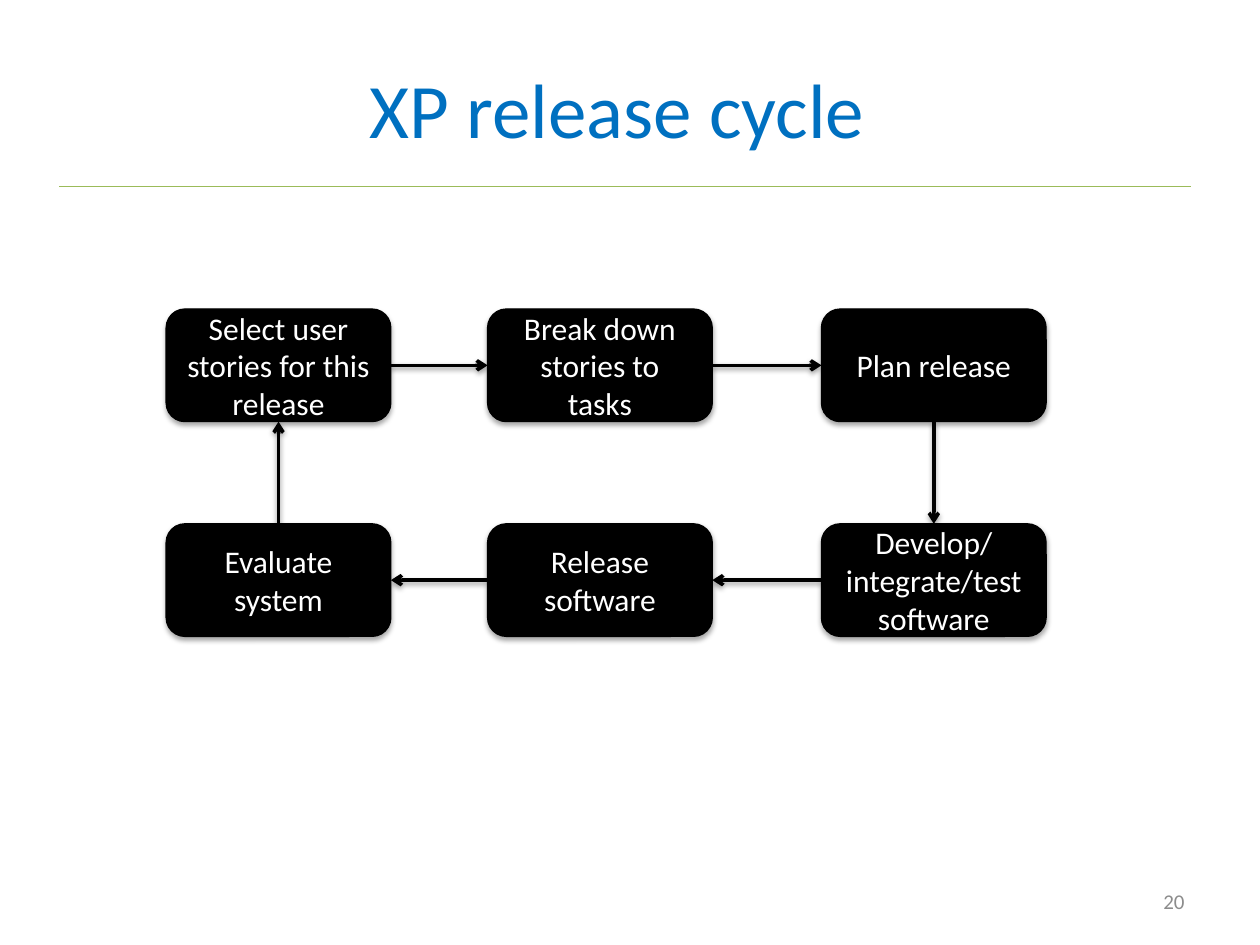
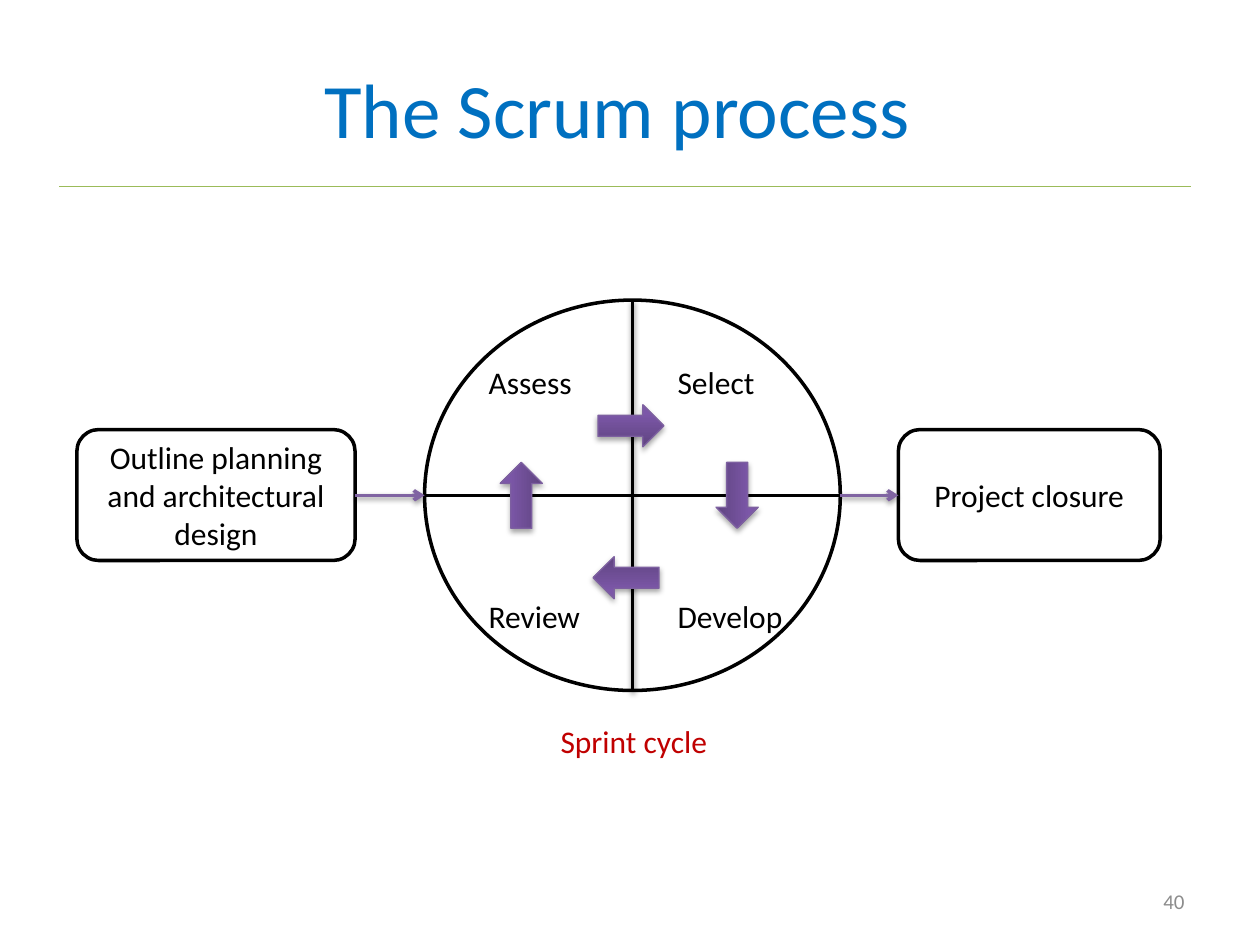
from dataclasses import dataclass
from typing import NamedTuple

from lxml.etree import SubElement
from pptx import Presentation
from pptx.dml.color import RGBColor
from pptx.enum.shapes import MSO_CONNECTOR, MSO_SHAPE
from pptx.enum.text import MSO_ANCHOR, MSO_AUTO_SIZE, PP_ALIGN
from pptx.oxml.ns import qn
from pptx.util import Cm, Pt


@dataclass(frozen=True)
class Theme:
    """Colours, type sizes and line widths of the deck."""
    font: str = "Calibri"
    title: str = "0070C0"
    rule: str = "9BBB59"
    number: str = "8C8C8C"
    dark: str = "000000"
    light: str = "FFFFFF"
    accent: str = "8064A2"
    arrow_edge: str = "7D60A0"
    arrow_low: str = "5F4480"
    arrow_high: str = "7C57A8"
    caption: str = "C00000"
    title_size: int = 44
    body_size: int = 18
    number_size: int = 12
    thin: float = 0.75
    thick: float = 2
    shape_shadow: tuple = (35, 1.8)
    line_shadow: tuple = (38, 1.6)


class Box(NamedTuple):
    """A rectangle in centimetres."""
    left: float
    top: float
    width: float
    height: float

    @property
    def centre(self):
        """Return the middle point."""
        return self.left + self.width / 2, self.top + self.height / 2

    @property
    def right(self):
        """Return the right edge."""
        return self.left + self.width

    @property
    def bottom(self):
        """Return the lower edge."""
        return self.top + self.height

    def inside(self, left, top, width, height):
        """Return a box placed relative to this one."""
        return Box(self.left + left, self.top + top, width, height)

    def lengths(self):
        """Return the four lengths for python-pptx."""
        return [Cm(value) for value in self]


THEME = Theme()
TITLE = Box(1.19, 0.58, 22.86, 3.18)
PAGE_NUMBER = Box(18.21, 17.65, 5.92, 1.02)
XP_CYCLE = Box(3.35, 6.23, 17.74, 6.6)
SCRUM = Box(1.55, 6.05, 21.84, 9.4)
TOP, LEFT, BOTTOM, RIGHT = range(4)
LINK_SITES = {(1, 0): (RIGHT, LEFT), (-1, 0): (LEFT, RIGHT),
              (0, 1): (BOTTOM, TOP), (0, -1): (TOP, BOTTOM)}
XP_COLUMNS = (0, 6.48, 13.21)
XP_ROWS = (0, 4.33)
XP_STEPS = (
    ("Select user stories for this release", 0, 0),
    ("Break down stories to tasks", 1, 0),
    ("Plan release", 2, 0),
    ("Develop/ integrate/test software", 2, 1),
    ("Release software", 1, 1),
    ("Evaluate system", 0, 1),
)
SPRINT_PHASES = (
    ("Assess", 1.04, 1.14, 2.21),
    ("Select", 4.85, 1.14, 2.08),
    ("Develop", 4.85, 5.86, 2.64),
    ("Review", 1.04, 5.86, 2.39),
)
SPRINT_TURNS = ((0, -0.03, -1.4), (90, 2.11, 0), (180, -0.13, 1.66), (270, -2.24, 0))


def rgb(value):
    """Turn a hex string into a colour."""
    return RGBColor.from_string(value)


def write(frame, text, colour, size=THEME.body_size, align=PP_ALIGN.CENTER,
          anchor=MSO_ANCHOR.MIDDLE):
    """Put one formatted run into a text frame."""
    frame.vertical_anchor = anchor
    paragraph = frame.paragraphs[0]
    paragraph.alignment = align
    run = paragraph.add_run()
    run.text = text
    run.font.name = THEME.font
    run.font.size = Pt(size)
    run.font.color.rgb = rgb(colour)


def set_line(line, colour, width):
    """Set the colour and width of a line."""
    line.color.rgb = rgb(colour)
    line.width = Pt(width)


def cast_shadow(effects, strength, distance):
    """Add a soft shadow that falls straight down."""
    shadow = SubElement(effects, qn("a:outerShdw"), blurRad=str(Pt(3.1)),
                        dist=str(Pt(distance)), dir="5400000", rotWithShape="0")
    colour = SubElement(shadow, qn("a:srgbClr"), val=THEME.dark)
    SubElement(colour, qn("a:alpha"), val=str(strength * 1000))


def add_figure(slide, kind, box, edge, width, fill=None, shadow=None):
    """Add a preset shape with its outline, fill and shadow."""
    figure = slide.shapes.add_shape(kind, *box.lengths())
    set_line(figure.line, edge, width)
    figure.shadow.inherit = False
    if fill:
        figure.fill.solid()
        figure.fill.fore_color.rgb = rgb(fill)
    if shadow:
        cast_shadow(figure._element.spPr.find(qn("a:effectLst")), *shadow)
    return figure


def add_line(slide, start, end, colour, width=THEME.thick, arrow=False, shadow=None):
    """Draw a straight line between two points in centimetres."""
    line = slide.shapes.add_connector(
        MSO_CONNECTOR.STRAIGHT, *[Cm(value) for value in (*start, *end)])
    set_line(line.line, colour, width)
    if arrow:
        SubElement(line.line._get_or_add_ln(), qn("a:tailEnd"), type="arrow")
    effects = SubElement(line._element.spPr, qn("a:effectLst"))
    if shadow:
        cast_shadow(effects, *shadow)
    return line


def add_label(slide, box, text, colour):
    """Add an unwrapped text box that fits its text."""
    frame = slide.shapes.add_textbox(*box.lengths()).text_frame
    frame.word_wrap = False
    frame.auto_size = MSO_AUTO_SIZE.SHAPE_TO_FIT_TEXT
    write(frame, text, colour, align=PP_ALIGN.LEFT, anchor=MSO_ANCHOR.TOP)


def add_titled_slide(deck, title, number):
    """Add a slide with its title, green rule and page number."""
    slide = deck.slides.add_slide(deck.slide_layouts[5])
    heading = slide.shapes.title
    heading.left, heading.top, heading.width, heading.height = TITLE.lengths()
    write(heading.text_frame, title, THEME.title, THEME.title_size)
    add_line(slide, (TITLE.left, TITLE.bottom), (24, TITLE.bottom), THEME.rule, THEME.thin)
    frame = slide.shapes.add_textbox(*PAGE_NUMBER.lengths()).text_frame
    frame.word_wrap = True
    write(frame, number, THEME.number, THEME.number_size, PP_ALIGN.RIGHT)
    return slide


def draw_release_cycle(slide, region):
    """Draw the release steps and the arrows that close their loop."""
    steps = []
    for text, column, row in XP_STEPS:
        place = region.inside(XP_COLUMNS[column], XP_ROWS[row], 4.53, 2.27)
        step = add_figure(slide, MSO_SHAPE.ROUNDED_RECTANGLE, place, THEME.dark,
                          THEME.thin, THEME.dark, THEME.shape_shadow)
        write(step.text_frame, text, THEME.light)
        steps.append((step, column, row))
    for (step, column, row), (following, next_column, next_row) in zip(
            steps, steps[1:] + steps[:1]):
        leave, enter = LINK_SITES[next_column - column, next_row - row]
        link = add_line(slide, (0, 0), (1, 1), THEME.dark, arrow=True,
                        shadow=THEME.line_shadow)
        link.begin_connect(step, leave)
        link.end_connect(following, enter)


def draw_sprint(slide, circle):
    """Draw the quartered sprint circle with its phases and turning arrows."""
    x, y = circle.centre
    add_figure(slide, MSO_SHAPE.OVAL, circle, THEME.dark, THEME.thick, THEME.light)
    add_line(slide, (x, circle.top), (x, circle.bottom), THEME.dark,
             shadow=THEME.line_shadow)
    add_line(slide, (circle.left, y), (circle.right, y), THEME.dark)
    width, height = 1.33, 0.85
    for angle, across, down in SPRINT_TURNS:
        place = Box(x + across - width / 2, y + down - height / 2, width, height)
        turn = add_figure(slide, MSO_SHAPE.RIGHT_ARROW, place, THEME.arrow_edge,
                          THEME.thin, shadow=THEME.shape_shadow)
        turn.rotation = angle
        turn.fill.gradient()
        turn.fill.gradient_angle = 90
        low, high = turn.fill.gradient_stops
        low.color.rgb, high.color.rgb = rgb(THEME.arrow_low), rgb(THEME.arrow_high)
        low.position, high.position = 0, 0.8
    for text, left, top, label_width in SPRINT_PHASES:
        add_label(slide, circle.inside(left, top, label_width, 1.02), text, THEME.dark)


def draw_scrum(slide, region):
    """Draw planning, the sprint circle and closure from left to right."""
    planning = region.inside(0, 2.61, 5.61, 2.64)
    circle = region.inside(7.01, 0, 8.38, 7.87)
    closure = region.inside(16.56, 2.61, 5.28, 2.64)
    for place, text in ((planning, "Outline planning and architectural design"),
                        (closure, "Project closure")):
        stage = add_figure(slide, MSO_SHAPE.ROUNDED_RECTANGLE, place, THEME.dark,
                           THEME.thick, THEME.light)
        write(stage.text_frame, text, THEME.dark)
    draw_sprint(slide, circle)
    middle = circle.centre[1]
    for before, after in ((planning, circle), (circle, closure)):
        add_line(slide, (before.right, middle), (after.left, middle), THEME.accent,
                 arrow=True, shadow=THEME.line_shadow)
    add_label(slide, region.inside(9.5, 8.38, 3.5, 1.02), "Sprint cycle", THEME.caption)


def main():
    """Build and save the deck."""
    deck = Presentation()
    deck.slide_width, deck.slide_height = Cm(25.4), Cm(19.05)
    draw_release_cycle(add_titled_slide(deck, "XP release cycle ", "20"), XP_CYCLE)
    draw_scrum(add_titled_slide(deck, "The Scrum process ", "40"), SCRUM)
    deck.save("out.pptx")


if __name__ == "__main__":
    main()
